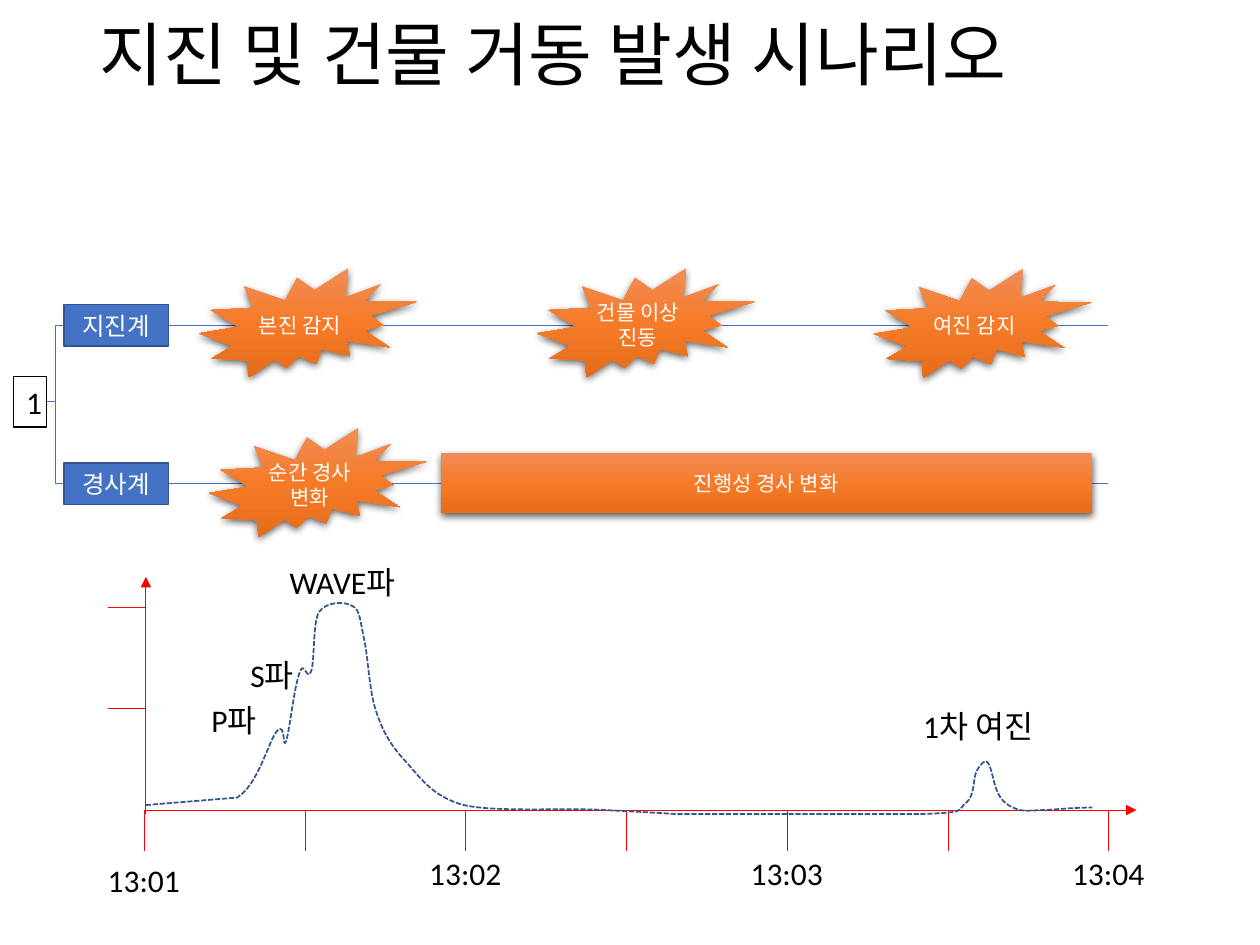
from dataclasses import dataclass

import pptx
import pptx.dml.color
import pptx.enum.dml
import pptx.enum.lang
import pptx.enum.shapes
import pptx.enum.text
import pptx.oxml
import pptx.oxml.ns
import pptx.util
from pptx.util import Cm

SHAPES = pptx.enum.shapes.MSO_SHAPE
CONNECTORS = pptx.enum.shapes.MSO_CONNECTOR
ALIGN = pptx.enum.text.PP_ALIGN
ANCHOR = pptx.enum.text.MSO_ANCHOR
RED, BLUE, NAVY, BLACK, WHITE = "FF0000", "4472C4", "325491", "000000", "FFFFFF"
GRADIENT = ((0, "F18C57"), (50, "F67B28"), (100, "E56C19"))
DRAWING = pptx.oxml.ns.nsdecls("a")
ORIGIN_X, TICK_GAP = 2.91, 3.24
AXIS_X, AXIS_Y = 2.94, 16.33
TIMELINE_END = 22.34


@dataclass
class Box:
    text: str
    left: float
    top: float
    width: float
    height: float


SENSORS = (Box("지진계", 1.29, 6.14, 2.11, 0.84), Box("경사계", 1.29, 9.33, 2.11, 0.84))
BURSTS = (
    Box("본진 감지", 4.01, 5.41, 4.4, 2.2),
    Box("여진 감지", 17.61, 5.42, 4.4, 2.2),
    Box("순간 경사\n변화", 4.21, 8.63, 4.4, 2.2),
    Box("건물 이상 진동", 10.82, 5.41, 4.4, 2.2),
)
PROGRESS = Box("진행성 경사 변화", 8.89, 9.14, 13.12, 1.2)
WAVE_LABELS = (
    Box("P파", 4.01, 14, 1.57, 1.02),
    Box("S파", 4.8, 13.11, 1.57, 1.02),
    Box("WAVE파", 5.59, 11.23, 2.82, 1.02),
    Box("1차 여진", 18.36, 14.12, 3.2, 1.02),
)
TIMES = (("13:01", 17.23), ("13:02", 17.09), ("13:03", 17.09), ("13:04", 17.09))
WAVE_START = (2.94, 16.23)
WAVE = (
    ((4.78, 16.08),),
    ((5.21, 15.82), (5.41, 14.94), (5.59, 14.73)),
    ((5.77, 14.55), (5.69, 15.14), (5.77, 14.94)),
    ((5.84, 14.73), (5.94, 13.77), (6.05, 13.54)),
    ((6.12, 13.31), (6.2, 13.74), (6.27, 13.54)),
    ((6.35, 13.34), (6.3, 12.57), (6.43, 12.34)),
    ((6.58, 12.12), (6.96, 12.12), (7.11, 12.22)),
    ((7.26, 12.29), (7.26, 12.52), (7.34, 12.88)),
    ((7.42, 13.23), (7.44, 13.89), (7.57, 14.3)),
    ((7.7, 14.71), (7.85, 14.99), (8.15, 15.32)),
    ((8.46, 15.65), (8.69, 16.05), (9.35, 16.23)),
    ((10.01, 16.38), (11.43, 16.28), (12.14, 16.33)),
    ((12.85, 16.36), (13.61, 16.41), (13.61, 16.41)),
    ((18.57, 16.41),),
    ((19.56, 16.38), (19.28, 16.33), (19.48, 16.18)),
    ((19.66, 16.03), (19.61, 15.7), (19.69, 15.54)),
    ((19.76, 15.42), (19.86, 15.29), (19.91, 15.37)),
    ((19.99, 15.44), (20.04, 15.88), (20.14, 16.03)),
    ((20.24, 16.21), (20.4, 16.28), (20.55, 16.33)),
    ((20.73, 16.36), (20.88, 16.33), (21.11, 16.33)),
    ((21.36, 16.31), (21.69, 16.28), (22.02, 16.28)),
)


def color(value: str):
    return pptx.dml.color.RGBColor.from_string(value)


def write(shape, text: str, size: float, font_color: str, align=ALIGN.CENTER) -> None:
    shape.text_frame.text = text
    for paragraph in shape.text_frame.paragraphs:
        paragraph.alignment = align
        for run in paragraph.runs:
            run.font.name = "Calibri"
            run.font.size = pptx.util.Pt(size)
            run.font.color.rgb = color(font_color)
            run.font.language_id = pptx.enum.lang.MSO_LANGUAGE_ID.KOREAN
            run.font._element.append(
                pptx.oxml.parse_xml(f'<a:ea {DRAWING} typeface="Calibri"/>'))


def place(box: Box) -> tuple:
    return Cm(box.left), Cm(box.top), Cm(box.width), Cm(box.height)


def outline(shape, line_color: str, width: float) -> None:
    shape.line.color.rgb = color(line_color)
    shape.line.width = pptx.util.Pt(width)


def add_label(shapes, box: Box, align=ALIGN.LEFT) -> None:
    shape = shapes.add_textbox(*place(box))
    shape.text_frame.word_wrap = False
    write(shape, box.text, 18, BLACK, align)


def add_box(shapes, box: Box, size: float, font_color: str, preset=SHAPES.RECTANGLE):
    shape = shapes.add_shape(preset, *place(box))
    shape.shadow.inherit = False
    shape.text_frame.word_wrap = True
    shape.text_frame.vertical_anchor = ANCHOR.MIDDLE
    write(shape, box.text, size, font_color)
    return shape


def add_event(shapes, box: Box, preset=SHAPES.EXPLOSION2) -> None:
    shape = add_box(shapes, box, 12, WHITE, preset)
    shape.line.fill.background()
    frame = shape.text_frame
    frame.margin_left = frame.margin_right = frame.margin_top = frame.margin_bottom = 0
    stops = "".join(
        f'<a:gs pos="{position * 1000}"><a:srgbClr val="{value}"/></a:gs>'
        for position, value in GRADIENT
    )
    shape.fill.background()
    properties = shape.element.spPr
    plain = properties.find(pptx.oxml.ns.qn("a:noFill"))
    properties.replace(plain, pptx.oxml.parse_xml(
        f'<a:gradFill {DRAWING} rotWithShape="1"><a:gsLst>{stops}</a:gsLst>'
        '<a:lin ang="5400000" scaled="0"/></a:gradFill>'
    ))
    effects = properties.find(pptx.oxml.ns.qn("a:effectLst"))
    effects.append(pptx.oxml.parse_xml(
        f'<a:outerShdw {DRAWING} blurRad="57150" dist="19050" dir="5400000" '
        'algn="ctr" rotWithShape="0"><a:srgbClr val="000000">'
        '<a:alpha val="63000"/></a:srgbClr></a:outerShdw>'
    ))


def add_line(shapes, start: tuple, end: tuple, line_color: str = RED,
             arrow: bool = False, kind=CONNECTORS.STRAIGHT):
    line = shapes.add_connector(kind, *(Cm(value) for value in start + end))
    outline(line, line_color, 0.5)
    properties = line.element.spPr
    if arrow:
        properties.find(pptx.oxml.ns.qn("a:ln")).append(
            pptx.oxml.parse_xml(f'<a:tailEnd {DRAWING} type="triangle"/>'))
    properties.append(pptx.oxml.parse_xml(f"<a:effectLst {DRAWING}/>"))
    return line


def add_wave(shapes) -> None:
    points = [(Cm(x), Cm(y)) for segment in WAVE for x, y in segment]
    builder = shapes.build_freeform(Cm(WAVE_START[0]), Cm(WAVE_START[1]))
    builder.add_line_segments(points, close=False)
    wave = builder.convert_to_shape()
    steps = iter(list(wave.element.spPr.iter(pptx.oxml.ns.qn("a:lnTo"))))
    for segment in WAVE:
        first = next(steps)
        if len(segment) == 3:
            curve = pptx.oxml.parse_xml(f"<a:cubicBezTo {DRAWING}/>")
            first.addprevious(curve)
            for step in (first, next(steps), next(steps)):
                curve.append(step[0])
                step.getparent().remove(step)
    wave.shadow.inherit = False
    wave.fill.background()
    outline(wave, NAVY, 1)
    wave.line.dash_style = pptx.enum.dml.MSO_LINE.SQUARE_DOT


def add_wave_chart(shapes) -> None:
    add_line(shapes, (ORIGIN_X, AXIS_Y), (22.91, AXIS_Y), arrow=True)
    for index in range(7):
        x = ORIGIN_X + index * TICK_GAP
        add_line(shapes, (x, AXIS_Y), (x, 17.15))
    for box in WAVE_LABELS:
        add_label(shapes, box)
    for index, (time, top) in enumerate(TIMES):
        left = 1.6 + index * 2 * TICK_GAP
        add_label(shapes, Box(time, left, top, 2.6, 1.02), ALIGN.CENTER)
    add_wave(shapes)


def main() -> None:
    presentation = pptx.Presentation()
    presentation.slide_width, presentation.slide_height = Cm(25.4), Cm(19.05)
    slide = presentation.slides.add_slide(presentation.slide_layouts[5])
    shapes = slide.shapes
    title = shapes.title
    title.left, title.top, title.width, title.height = Cm(1.75), Cm(0.36), Cm(21.89), Cm(1.6)
    write(title, "지진 및 건물 거동 발생 시나리오", 39.6, BLACK, ALIGN.LEFT)
    title.text_frame.vertical_anchor = ANCHOR.MIDDLE
    title.text_frame.paragraphs[0].line_spacing = 0.9
    add_wave_chart(shapes.add_group_shape().shapes)

    number = add_box(shapes, Box("1", 0.28, 7.59, 0.66, 1.02), 18, BLACK)
    number.fill.background()
    outline(number, BLACK, 0.75)
    for box in SENSORS:
        sensor = add_box(shapes, box, 14, WHITE)
        sensor.fill.solid()
        sensor.fill.fore_color.rgb = color(BLUE)
        outline(sensor, NAVY, 1)
        middle = box.top + box.height / 2
        branch = add_line(shapes, (0.94, 8.1), (box.left, middle), BLUE, kind=CONNECTORS.ELBOW)
        branch.begin_connect(number, 3)
        branch.end_connect(sensor, 1)
        timeline = add_line(shapes, (box.left + box.width, middle), (TIMELINE_END, middle), BLUE)
        timeline.begin_connect(sensor, 3)

    for box in BURSTS:
        add_event(shapes, box)
    add_event(shapes, PROGRESS, SHAPES.RECTANGLE)
    add_line(shapes, (AXIS_X, 16.41), (AXIS_X, 11.63), arrow=True)
    for y in (12.25, 14.28):
        add_line(shapes, (AXIS_X, y), (2.18, y))
    presentation.save("out.pptx")


if __name__ == "__main__":
    main()
